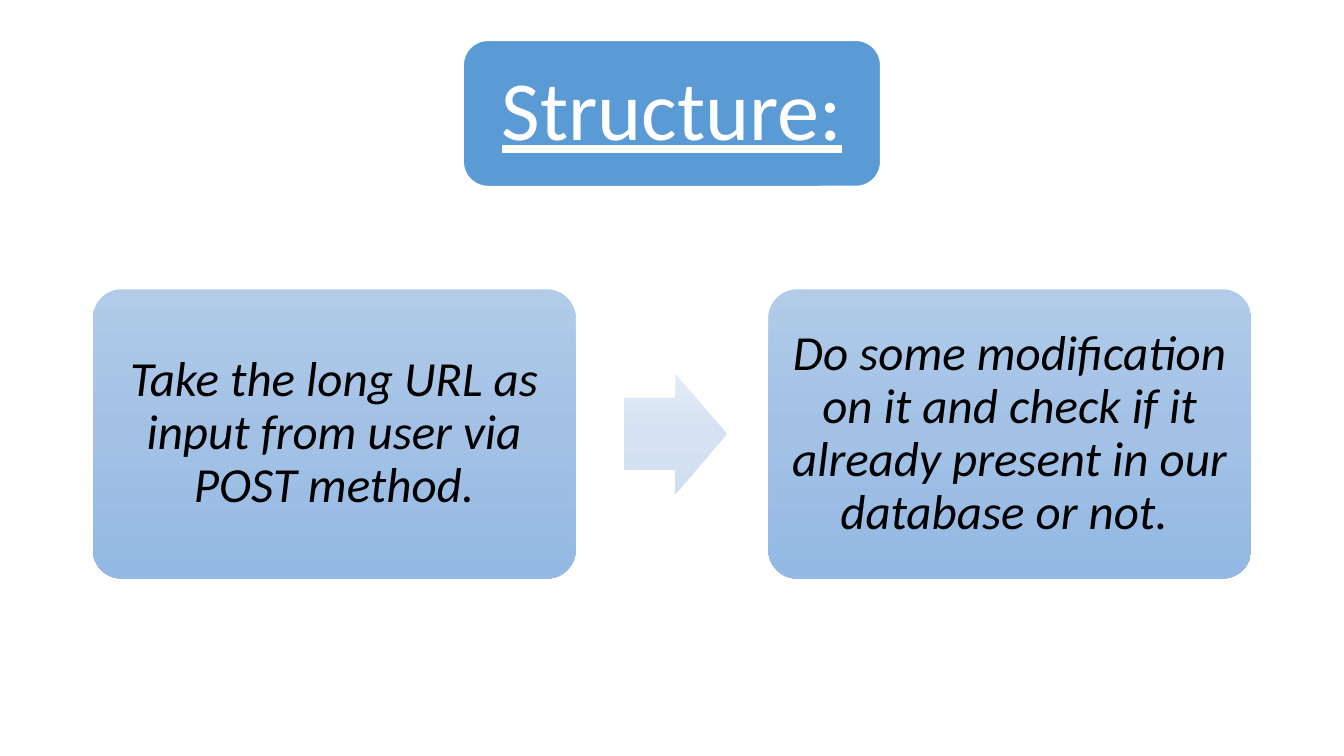
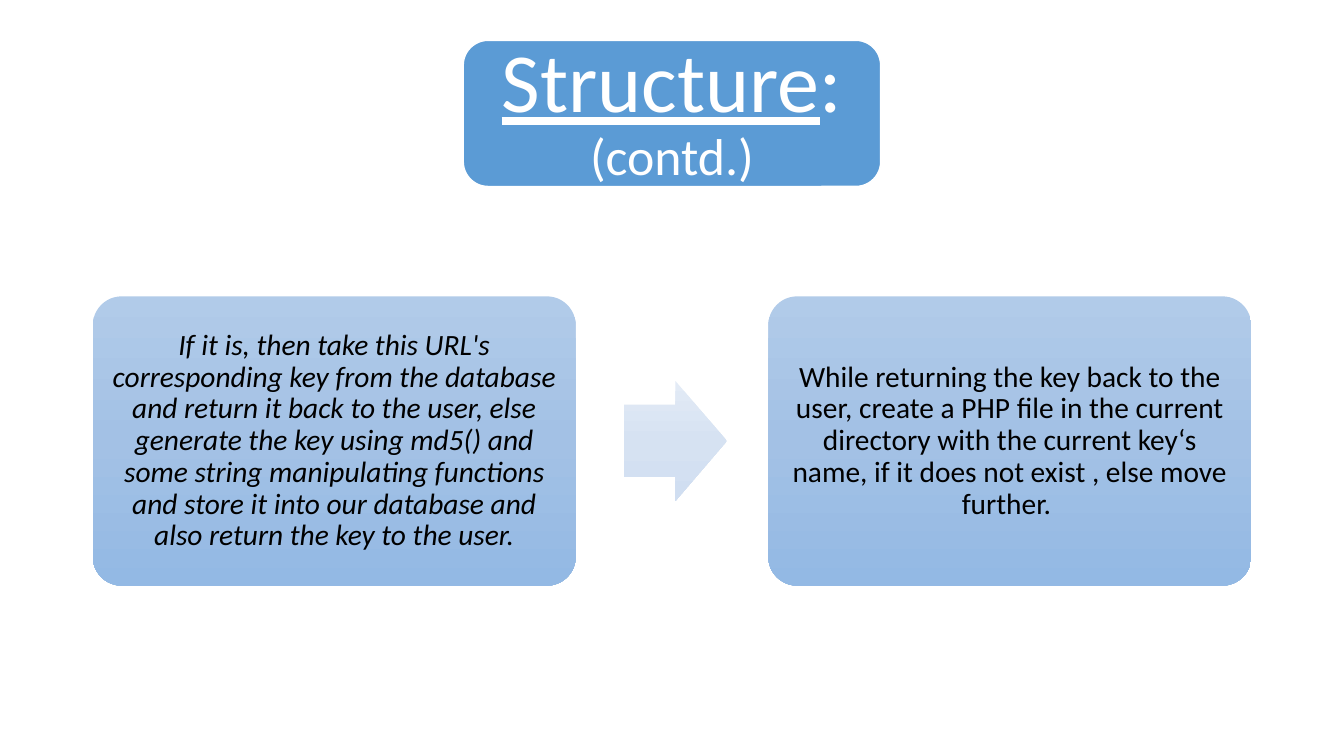
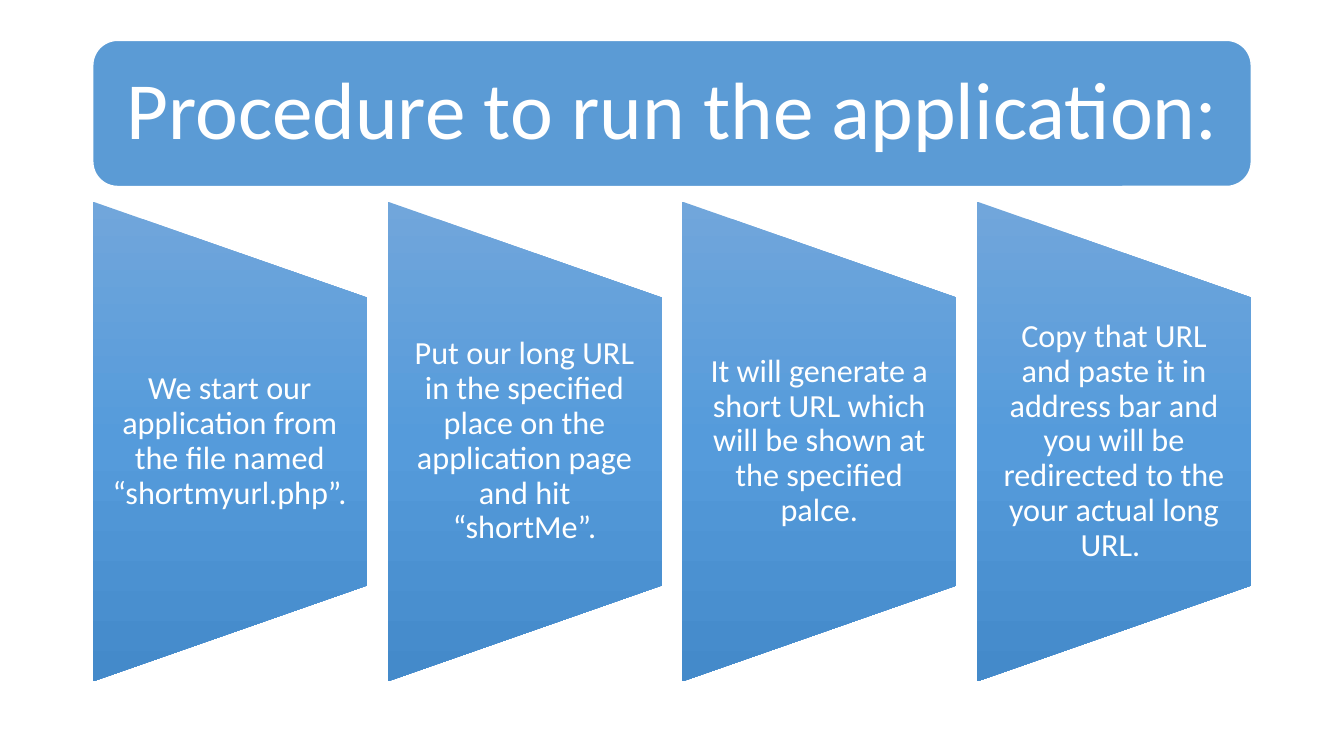
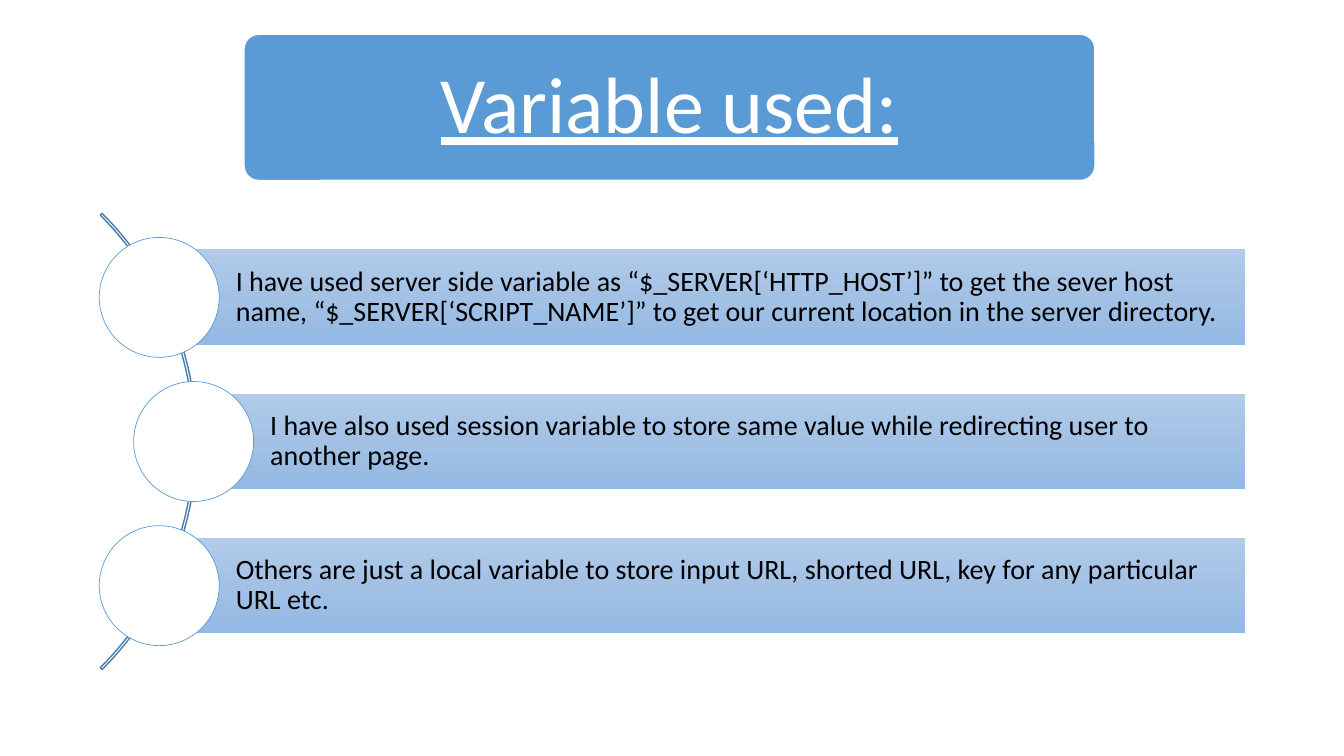
from dataclasses import dataclass
from math import sqrt

from lxml.etree import SubElement
from pptx import Presentation
from pptx.dml.color import RGBColor
from pptx.enum.shapes import MSO_SHAPE as Shape
from pptx.enum.text import MSO_ANCHOR as Anchor, PP_ALIGN as Align
from pptx.oxml.ns import qn
from pptx.util import Inches, Pt


@dataclass(frozen=True)
class Theme:
    font: str = "Calibri"
    accent: str = "5B9BD5"
    white: str = "FFFFFF"
    black: str = "000000"
    arc: str = "497CAB"
    card: tuple = ("B1CBE9", "A3C1E5", "93B9E4")
    arrow: tuple = ("E3EBF6", "D6E2F2", "D0DEF1")
    step: tuple = ("71A6DB", "559BDB", "448ACA")
    step_size: int = 23
    row_size: int = 20


THEME = Theme()
WIDTH, HEIGHT = 13.33, 7.5
LEFT, CONTENT_WIDTH = 0.92, 11.49
RIGHT = LEFT + CONTENT_WIDTH
TITLE_TOP, TITLE_HEIGHT = 0.4, 1.45

# Title runs are (text, size, underlined); cards are (text, italic).
FLOWS = [
    {
        "title": [("Structure:", 60, True)],
        "top": 2.87, "size": 35, "inset": 0.15,
        "cards": [
            ("Take the long URL as input from user via POST method.", True),
            ("Do some modification on it and check if it already present in our "
             "database or not. ", True),
        ],
    },
    {
        "title": [("Structure", 60, True), (":", 60, False), (" (contd.)", 37, False)],
        "top": 2.94, "size": 21, "inset": 0.09,
        "cards": [
            ("If it is, then take this URL's corresponding key from the database and "
             "return it back to the user, else generate the key using md5() and some "
             "string manipulating functions and store it into our database and also "
             "return the key to the user.", True),
            ("While returning the key back to the user, create a PHP file in the "
             "current directory with the current key‘s name, if it does not exist , "
             "else move further. ", False),
        ],
    },
]
PROCEDURE_TITLE = [("Procedure to run the application:", 58, False)]
STEPS = [
    "We start our application from the file named “shortmyurl.php”.",
    "Put our long URL in the specified place on the application page and hit “shortMe”.",
    "It will generate a short URL which will be shown at the specified palce.",
    "Copy that URL and paste it in address bar and you will be redirected to the your "
    "actual long URL. ",
]
VARIABLES_TITLE = [("Variable used:", 57, True)]
VARIABLES = [
    "I have used server side variable as “$_SERVER[‘HTTP_HOST’]” to get the sever host "
    "name, “$_SERVER[‘SCRIPT_NAME’]” to get our current location in the server directory.",
    "I have also used session variable to store same value while redirecting user to "
    "another page.",
    "Others are just a local variable to store input URL, shorted URL, key for any "
    "particular URL etc.",
]


def fill_gradient(shape, colors):
    """Fill from top to bottom with evenly spaced colours, whatever the rotation."""
    shape.fill.gradient()
    shape.fill.gradient_angle = 270
    gradient = shape._element.spPr.find(qn("a:gradFill"))
    gradient.set("rotWithShape", "0")
    stops = gradient.find(qn("a:gsLst"))
    stops.clear()
    for index, color in enumerate(colors):
        position = 100000 * index // (len(colors) - 1)
        stop = SubElement(stops, qn("a:gs"), pos=str(position))
        SubElement(stop, qn("a:srgbClr"), val=color)


def add_figure(slide, kind, box, fill=None, line=None, adjustments=()):
    """Add a preset shape; fill is a colour, a tuple of colours or None, line (colour, width)."""
    shape = slide.shapes.add_shape(kind, *map(Inches, box))
    shape.shadow.inherit = False
    for index, value in enumerate(adjustments):
        shape.adjustments[index] = value
    if fill is None:
        shape.fill.background()
    elif isinstance(fill, tuple):
        fill_gradient(shape, fill)
    else:
        shape.fill.solid()
        shape.fill.fore_color.rgb = RGBColor.from_string(fill)
    if line is None:
        shape.line.fill.background()
    else:
        color, width = line
        shape.line.color.rgb = RGBColor.from_string(color)
        shape.line.width = Pt(width)
    return shape


def write(shape, runs, size, color, insets, align=Align.CENTER, italic=False):
    """Write one paragraph of (text, size, underlined) runs; insets go left, top, right, bottom."""
    frame = shape.text_frame
    frame.word_wrap = True
    frame.vertical_anchor = Anchor.MIDDLE
    (frame.margin_left, frame.margin_top,
     frame.margin_right, frame.margin_bottom) = map(Inches, insets)
    paragraph = frame.paragraphs[0]
    paragraph.alignment = align
    paragraph.line_spacing = 0.9
    paragraph.space_after = Pt(round(0.35 * size))
    font = paragraph.font
    font.name, font.size, font.italic = THEME.font, Pt(size), italic
    font.color.rgb = RGBColor.from_string(color)
    for text, run_size, underlined in runs:
        run = paragraph.add_run()
        run.text = text
        if run_size != size:
            run.font.size = Pt(run_size)
        if underlined:
            run.font.underline = True


def add_title(slide, runs, left=LEFT, width=CONTENT_WIDTH, top=TITLE_TOP,
              corner=0.17, inset=0.12):
    banner = add_figure(slide, Shape.ROUNDED_RECTANGLE, (left, top, width, TITLE_HEIGHT),
                        THEME.accent, (THEME.white, 1), [corner])
    write(banner, runs, runs[0][1], THEME.white, (0.24, inset, 0.24, inset))


def build_flow(slide, flow):
    title_width = 4.14
    add_title(slide, flow["title"], (WIDTH - title_width) / 2, title_width)
    card_width, card_height = 4.79, 2.87
    arrow_width, arrow_height = 1.02, 1.19
    top, size = flow["top"], flow["size"]
    for left, (text, italic) in zip((LEFT, RIGHT - card_width), flow["cards"]):
        card = add_figure(slide, Shape.ROUNDED_RECTANGLE,
                          (left, top, card_width, card_height), THEME.card, None, [0.1])
        write(card, [(text, size, False)], size, THEME.black, [flow["inset"]] * 4,
              italic=italic)
    add_figure(slide, Shape.RIGHT_ARROW,
               (LEFT + 1.1 * card_width, top + (card_height - arrow_height) / 2,
                arrow_width, arrow_height), THEME.arrow, None, [0.6, 0.5])


def build_procedure(slide):
    add_title(slide, PROCEDURE_TITLE)
    top, width, height = 2.0, 2.72, 4.76
    pitch = (CONTENT_WIDTH - width) / (len(STEPS) - 1)
    for index, text in enumerate(STEPS):
        left = LEFT + index * pitch
        # The shape is laid out lying down, then turned upright about its centre.
        turn = (height - width) / 2
        panel = add_figure(slide, Shape.FLOWCHART_MANUAL_OPERATION,
                           (left - turn, top + turn, height, width), THEME.step)
        panel.rotation = 270
        label = slide.shapes.add_textbox(
            *map(Inches, (left, top + height / 5, width, height * 3 / 5)))
        write(label, [(text, THEME.step_size, False)], THEME.step_size, THEME.white,
              (0.16, 0, 0.16, 0))


def build_variables(slide):
    add_title(slide, VARIABLES_TITLE, 2.42, 8.44, 0.34, 0.1, 0.24)
    center_x, center_y, radius = -1.25, 4.38, 3.2
    node_radius, node_size = 3.17, 1.19
    pitch, bar_height, bar_right = 1.43, 0.95, 12.35
    # Arc angles run from 315 to 45 degrees, in units of 5/3 of a degree.
    add_figure(slide, Shape.BLOCK_ARC,
               (center_x - radius, center_y - radius, 2 * radius, 2 * radius),
               None, (THEME.arc, 1), [315 * 0.6, 45 * 0.6, 0.004])
    for index, text in enumerate(VARIABLES):
        offset = (index - (len(VARIABLES) - 1) / 2) * pitch
        x, y = center_x + sqrt(node_radius ** 2 - offset ** 2), center_y + offset
        bar = add_figure(slide, Shape.RECTANGLE,
                         (x, y - bar_height / 2, bar_right - x, bar_height), THEME.card)
        write(bar, [(text, THEME.row_size, False)], THEME.row_size, THEME.black,
              (0.76, 0.06, 0.06, 0.06), Align.LEFT)
        add_figure(slide, Shape.OVAL,
                   (x - node_size / 2, y - node_size / 2, node_size, node_size),
                   THEME.white, (THEME.accent, 0.5))


def main():
    presentation = Presentation()
    presentation.slide_width, presentation.slide_height = Inches(WIDTH), Inches(HEIGHT)
    blank = presentation.slide_layouts[6]
    for flow in FLOWS:
        build_flow(presentation.slides.add_slide(blank), flow)
    build_procedure(presentation.slides.add_slide(blank))
    build_variables(presentation.slides.add_slide(blank))
    presentation.save("out.pptx")


if __name__ == "__main__":
    main()
